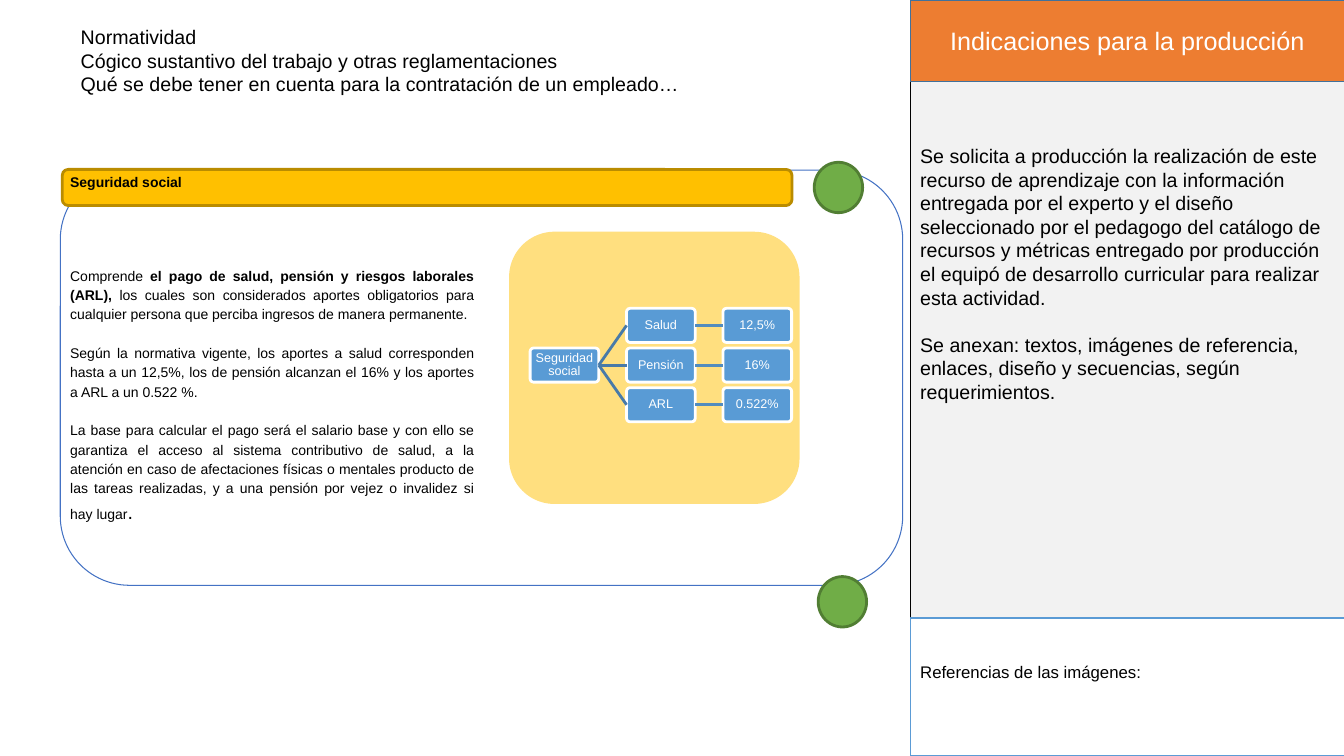
from dataclasses import dataclass

from lxml.etree import SubElement
from pptx import Presentation
from pptx.dml.color import RGBColor
from pptx.enum.shapes import MSO_CONNECTOR, MSO_SHAPE as SHAPE
from pptx.enum.text import MSO_ANCHOR as ANCHOR, MSO_AUTO_SIZE, PP_ALIGN as ALIGN
from pptx.oxml.ns import qn
from pptx.util import Cm, Pt


@dataclass(frozen=True)
class Theme:
    font: str = "Arial"
    black: str = "000000"
    white: str = "FFFFFF"
    gray: str = "F2F2F2"
    orange: str = "ED7D31"
    header_line: str = "42719B"
    reference_line: str = "5B9BD5"
    frame_line: str = "4472C4"
    gold: str = "FFC000"
    gold_line: str = "BA8C00"
    green: str = "70AD47"
    green_line: str = "517E33"
    node: str = "599BD5"
    branch_line: str = "487AA8"
    value_line: str = "528CBE"
    heading: int = 18
    text: int = 14
    reference: int = 12
    body: int = 10
    label: int = 9


theme = Theme()

prs = Presentation()
prs.slide_width, prs.slide_height = Cm(33.87), Cm(19.05)
slide = prs.slides.add_slide(prs.slide_layouts[5])


def draw(kind, left, top, width, height, fill=None, line=None, weight=1, radius=None):
    shape = slide.shapes.add_shape(kind, Cm(left), Cm(top), Cm(width), Cm(height))
    shape.shadow.inherit = False
    if radius is not None:
        shape.adjustments[0] = radius
    if fill:
        shape.fill.solid()
        shape.fill.fore_color.rgb = RGBColor.from_string(fill)
    else:
        shape.fill.background()
    if line:
        shape.line.color.rgb = RGBColor.from_string(line)
        shape.line.width = Pt(weight)
    else:
        shape.line.fill.background()
    return shape


def style(frame, size, color=theme.black, align=ALIGN.LEFT, anchor=ANCHOR.TOP):
    frame.word_wrap = True
    frame.vertical_anchor = anchor
    for paragraph in frame.paragraphs:
        paragraph.alignment = align
        for run in paragraph.runs:
            run.font.name = theme.font
            run.font.size = Pt(size)
            run.font.color.rgb = RGBColor.from_string(color)


# Title
title = slide.shapes.title
title.left, title.top, title.width, title.height = Cm(1.78), Cm(0.51), Cm(17.55), Cm(2.06)
title.text_frame.text = (
    "Normatividad\n"
    "Cógico sustantivo del trabajo y otras reglamentaciones\n"
    "Qué se debe tener en cuenta para la contratación de un empleado…"
)
title.text_frame.auto_size = MSO_AUTO_SIZE.SHAPE_TO_FIT_TEXT
style(title.text_frame, theme.text)

# Production panel
panel_left, panel_width = 22.94, 10.94
draw(SHAPE.RECTANGLE, panel_left, 0, panel_width, 19.05, theme.gray, theme.black)

instructions = slide.shapes.add_textbox(Cm(panel_left), Cm(3.51), Cm(11), Cm(8.38)).text_frame
instructions.text = (
    "Se solicita a producción la realización de este recurso de aprendizaje con la "
    "información entregada por el experto y el diseño seleccionado por el pedagogo del "
    "catálogo de recursos y métricas entregado por producción el equipó de desarrollo "
    "curricular para realizar esta actividad.\n"
    "Se anexan: textos, imágenes de referencia, enlaces, diseño y secuencias, según "
    "requerimientos."
)
instructions.paragraphs[0].space_after = Pt(16.8)
style(instructions, theme.text)

header = draw(SHAPE.RECTANGLE, panel_left, 0, panel_width, 2.06, theme.orange, theme.header_line)
header.text_frame.text = "Indicaciones para la producción"
style(header.text_frame, theme.heading, theme.white, ALIGN.CENTER, ANCHOR.MIDDLE)

references = draw(SHAPE.RECTANGLE, panel_left, 15.57, panel_width, 3.48,
                  theme.white, theme.reference_line)
references.text_frame.text = "Referencias de las imágenes:"
references.text_frame.margin_bottom = Cm(0.88)
style(references.text_frame, theme.reference, anchor=ANCHOR.MIDDLE)

# Content frame with its heading bar and corner circles
draw(SHAPE.ROUNDED_RECTANGLE, 1.52, 4.29, 21.23, 10.46, None, theme.frame_line, 0.75, 0.167)
draw(SHAPE.ROUNDED_RECTANGLE, 1.57, 4.27, 18.39, 0.91, theme.gold, theme.gold_line, 2, 0.167)
for left, top in ((20.52, 4.09), (20.62, 14.53)):
    draw(SHAPE.OVAL, left, top, 1.22, 1.27, theme.green, theme.green_line, 2)

topic = slide.shapes.add_textbox(Cm(1.52), Cm(4.24), Cm(3.45), Cm(0.69)).text_frame
topic.text = "Seguridad social"
style(topic, theme.body)
topic.paragraphs[0].runs[0].font.bold = True

# Explanation: each paragraph is a list of text pieces
explanation_parts = [
    ["Comprende ",
     "el pago de salud, pensión y riesgos laborales (ARL), ",
     "los cuales son considerados aportes obligatorios para cualquier persona que "
     "perciba ingresos de manera permanente."],
    ["Según la normativa vigente, los aportes a salud corresponden hasta a un 12,5%, "
     "los de pensión alcanzan el 16% y los aportes a ARL a un 0.522 %."],
    ["La base para calcular el pago será el salario base y con ello se garantiza el "
     "acceso al sistema contributivo de salud, a la atención en caso de afectaciones "
     "físicas o mentales producto de las tareas realizadas, y a una pensión por vejez "
     "o invalidez si hay lugar",
     "."],
]
explanation = slide.shapes.add_textbox(Cm(1.52), Cm(5.18), Cm(10.67), Cm(8.23)).text_frame
explanation.margin_top = Cm(1.49)
for index, pieces in enumerate(explanation_parts):
    paragraph = explanation.add_paragraph() if index else explanation.paragraphs[0]
    paragraph.line_spacing = 1.15
    paragraph.space_before = Pt(13.8 if index else 0)
    for piece in pieces:
        paragraph.add_run().text = piece
style(explanation, theme.body, align=ALIGN.JUSTIFY)
explanation.paragraphs[0].runs[1].font.bold = True
explanation.paragraphs[-1].runs[-1].font.size = Pt(theme.text)

# Diagram background, half transparent
backdrop = draw(SHAPE.ROUNDED_RECTANGLE, 12.83, 5.84, 7.32, 6.86, theme.gold, radius=0.167)
backdrop_color = backdrop._element.spPr.find(".//" + qn("a:srgbClr"))
SubElement(backdrop_color, qn("a:alpha"), val="50000")

# Contribution tree: text, column, row, index of the parent, connector colour
contributions = [
    ("Seguridad social", 0, 1, None, None),
    ("Salud", 1, 0, 0, theme.branch_line),
    ("12,5%", 2, 0, 1, theme.value_line),
    ("Pensión", 1, 1, 0, theme.branch_line),
    ("16%", 2, 1, 3, theme.value_line),
    ("ARL", 1, 2, 0, theme.branch_line),
    ("0.522%", 2, 2, 5, theme.value_line),
]
nodes = []
for text, column, row, parent, line_color in contributions:
    node = draw(SHAPE.ROUNDED_RECTANGLE, 13.36 + 2.43 * column, 7.77 + row, 1.73, 0.86,
                theme.node, theme.white, 2, 0.1)
    frame = node.text_frame
    frame.text = text
    frame.margin_left = frame.margin_right = frame.margin_top = frame.margin_bottom = Cm(0.03)
    frame.paragraphs[0].line_spacing = 0.9
    style(frame, theme.label, theme.white, ALIGN.CENTER, ANCHOR.MIDDLE)
    nodes.append(node)
    if parent is not None:
        branch = slide.shapes.add_connector(MSO_CONNECTOR.STRAIGHT, 0, 0, 0, 0)
        branch.begin_connect(nodes[parent], 3)
        branch.end_connect(node, 1)
        branch.line.color.rgb = RGBColor.from_string(line_color)
        branch.line.width = Pt(2)
        SubElement(branch._element.spPr, qn("a:effectLst"))

prs.save("out.pptx")
